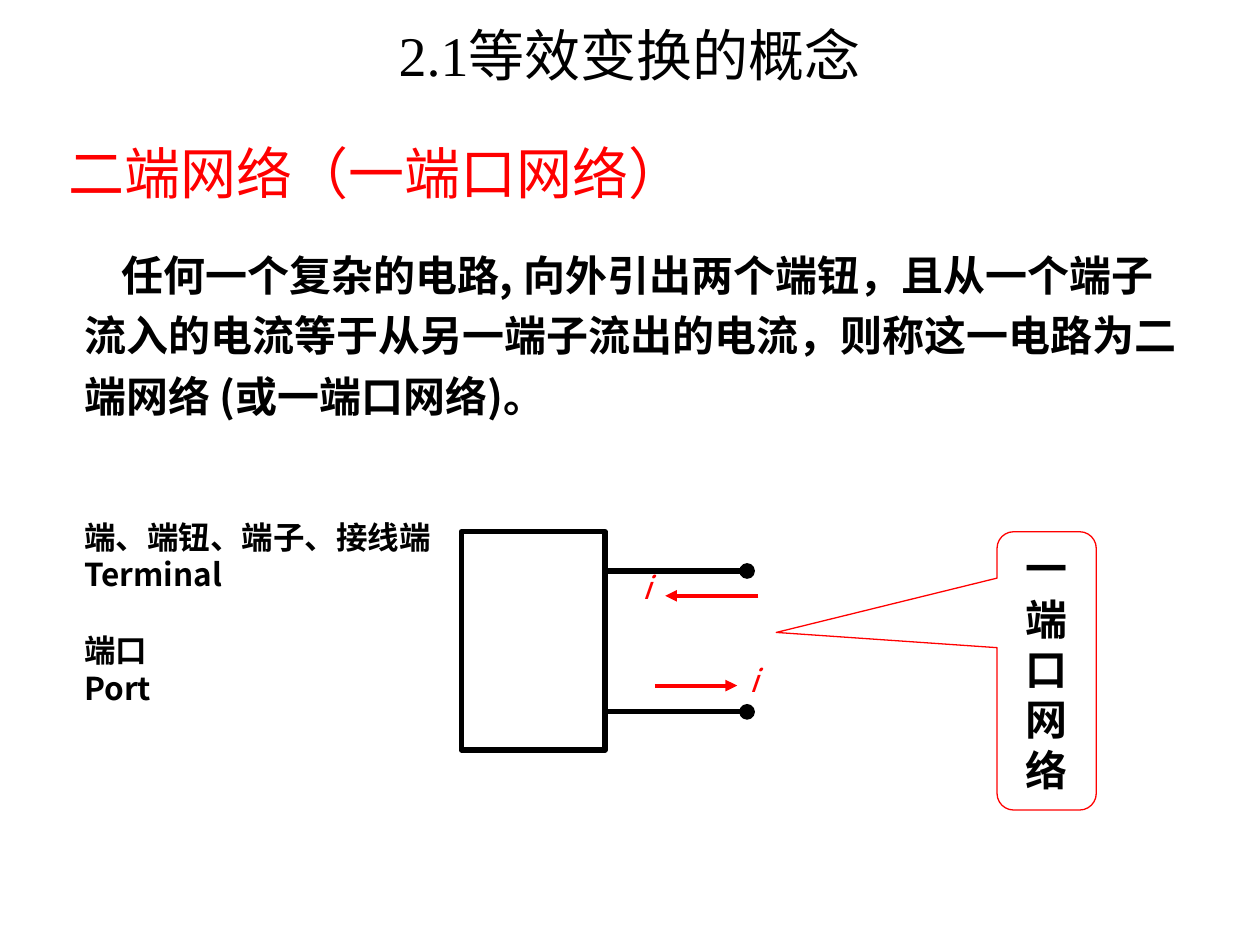
from lxml.etree import SubElement
from pptx import Presentation
from pptx.dml.color import RGBColor
from pptx.enum.shapes import MSO_CONNECTOR, MSO_SHAPE
from pptx.enum.text import MSO_ANCHOR, PP_ALIGN
from pptx.oxml.ns import qn
from pptx.util import Cm, Pt

THEME = {
    "ink": RGBColor(0, 0, 0),
    "accent": RGBColor(255, 0, 0),
    "sans": "Noto Sans CJK SC",
    "serif": "Times New Roman",
    "title": Pt(32),
    "body": Pt(24),
    "label": Pt(18),
}

TITLE = "2.1等效变换的概念"
HEADING = "二端网络（一端口网络）"
DEFINITION = ("任何一个复杂的电路, 向外引出两个端钮，且从一个端子流入的电流等于从另一端子"
              "流出的电流，则称这一电路为二端网络 (或一端口网络)。")
GLOSSARY = [("端、端钮、端子、接线端", "Terminal"), ("端口", "Port")]
CALLOUT = "一端口网络"
CURRENT = "i"

TITLE_BOX = (0.95, 0.46, 23.5, 1.27)
HEADING_BOX = (0.89, 2.67, 13.41, 1.63)
DEFINITION_BOX = (1.45, 4.7, 22.81, 3.96)
GLOSSARY_BOX = (1.45, 10.31, 7.57, 5.64)
CALLOUT_BOX = (20.1, 10.72, 2, 5.61)
CALLOUT_ADJ = (-2.725, -0.138, 0.167)
NETWORK_BOX = (9.3, 10.72, 2.9, 4.4)
WIRE_LENGTH = 2.86
WIRE_YS = (11.51, 14.35)
ARROWS = [(15.29, 13.41, 12.01), (13.2, 14.86, 13.82)]
CURRENT_BOXES = [(12.7, 11.33, 1.04, 1.02), (14.86, 13.21, 1.04, 1.02)]


def cms(values):
    return [Cm(v) for v in values]


def style(target, **values):
    for name, value in values.items():
        setattr(target, name, value)


def write(p, text, size, color="ink", face="sans", **marks):
    r = p.add_run()
    r.text = text
    style(r.font, name=THEME[face], size=THEME[size], **marks)
    r.font.color.rgb = THEME[color]
    SubElement(r.font._element, qn("a:ea"), typeface=THEME["sans"])


def add_text(shapes, box):
    tf = shapes.add_textbox(*cms(box)).text_frame
    tf.word_wrap = True
    return tf


def outline(sp, color, width):
    sp.shadow.inherit = False
    sp.fill.background()
    sp.line.color.rgb = THEME[color]
    sp.line.width = Pt(width)


def add_line(shapes, x1, x2, y, color, width, end):
    line = shapes.add_connector(MSO_CONNECTOR.STRAIGHT, *cms((x1, y, x2, y)))
    line.line.color.rgb = THEME[color]
    line.line.width = Pt(width)
    SubElement(line.line._get_or_add_ln(), qn("a:tailEnd"), type=end)
    SubElement(line._element.spPr, qn("a:effectLst"))


def add_title(s):
    sp = s.shapes.title
    style(sp, **dict(zip(("left", "top", "width", "height"), cms(TITLE_BOX))))
    sp.text_frame.vertical_anchor = MSO_ANCHOR.MIDDLE
    p = sp.text_frame.paragraphs[0]
    p.alignment = PP_ALIGN.CENTER
    write(p, TITLE, "title", face="serif")


def add_definition(s):
    p = add_text(s.shapes, HEADING_BOX).paragraphs[0]
    p.alignment = PP_ALIGN.CENTER
    write(p, HEADING, "title", "accent")

    p = add_text(s.shapes, DEFINITION_BOX).paragraphs[0]
    p.line_spacing = 1.2
    p._p.get_or_add_pPr().set("indent", str(Cm(0.76)))
    write(p, DEFINITION, "body", bold=True)


def add_glossary(s):
    tf = add_text(s.shapes, GLOSSARY_BOX)
    tf.word_wrap = False
    for i, pair in enumerate(GLOSSARY):
        for j, term in enumerate(pair):
            p = tf.add_paragraph() if i or j else tf.paragraphs[0]
            if i and not j:
                p.space_before = Pt(21.7)
            write(p, term, "label", bold=True)


def add_network(s):
    shapes = s.shapes.add_group_shape().shapes
    sp = shapes.add_shape(MSO_SHAPE.RECTANGLE, *cms(NETWORK_BOX))
    outline(sp, "ink", 3)
    wire_x = NETWORK_BOX[0] + NETWORK_BOX[2]
    for y in WIRE_YS:
        add_line(shapes, wire_x, wire_x + WIRE_LENGTH, y, "ink", 3, "oval")
    for arrow in ARROWS:
        add_line(shapes, *arrow, "accent", 2.25, "triangle")
    for box in CURRENT_BOXES:
        p = add_text(shapes, box).paragraphs[0]
        write(p, CURRENT, "label", "accent", italic=True)


def add_callout(s):
    sp = s.shapes.add_shape(MSO_SHAPE.ROUNDED_RECTANGULAR_CALLOUT, *cms(CALLOUT_BOX))
    for i, value in enumerate(CALLOUT_ADJ):
        sp.adjustments[i] = value
    outline(sp, "accent", 0.75)
    tf = sp.text_frame
    style(tf, word_wrap=True, vertical_anchor=MSO_ANCHOR.TOP)
    p = tf.paragraphs[0]
    p.alignment = PP_ALIGN.CENTER
    write(p, CALLOUT, "body", bold=True)


def main():
    prs = Presentation()
    prs.slide_width, prs.slide_height = cms((25.4, 19.05))
    s = prs.slides.add_slide(prs.slide_layouts[5])
    for add_part in (add_title, add_definition, add_callout, add_network, add_glossary):
        add_part(s)
    prs.save("out.pptx")


if __name__ == "__main__":
    main()
